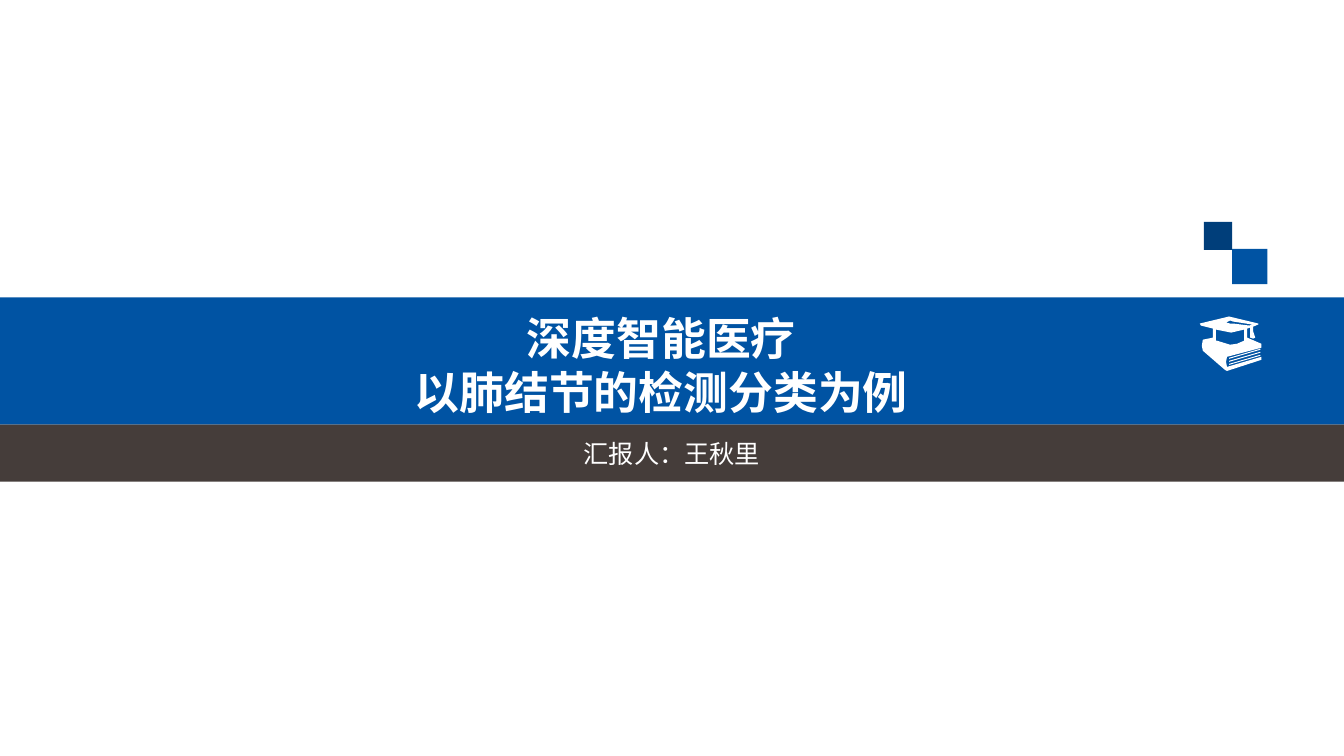
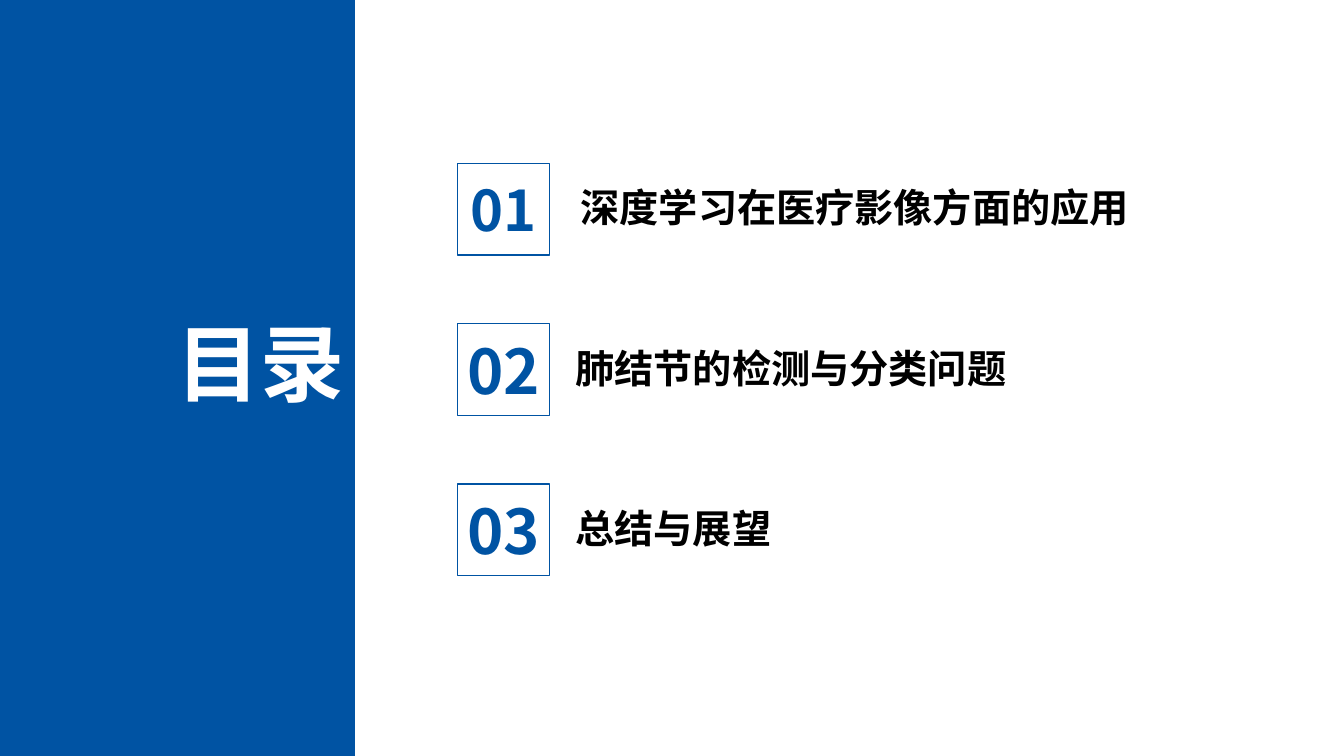
from lxml import etree
from pptx import Presentation
from pptx.dml.color import RGBColor
from pptx.enum.shapes import MSO_SHAPE
from pptx.enum.text import MSO_ANCHOR, MSO_AUTO_SIZE, PP_ALIGN
from pptx.oxml.ns import qn
from pptx.util import Inches, Pt

RECT = MSO_SHAPE.RECTANGLE
MIDDLE = MSO_ANCHOR.MIDDLE
NO_FIT = MSO_AUTO_SIZE.NONE
LEFT, CENTER, RIGHT = PP_ALIGN.LEFT, PP_ALIGN.CENTER, PP_ALIGN.RIGHT
TITLE_ONLY = 5

WIDTH, HEIGHT = 13.33, 7.5
BLUE, NAVY, BROWN = "0053A3", "003E7A", "453D3A"
WHITE, BLACK = "FFFFFF", "000000"
COVER_FONT, AGENDA_FONT = "DejaVu Sans", "Noto Sans CJK SC"

BAND_TOP, BAND_H, BYLINE_H = 2.95, 1.26, 0.57
PANEL_W = 3.52
BOX_LEFT, BOX_TOP, BOX_SIZE, BOX_STEP = 4.54, 1.62, 0.91, 1.59

AGENDA = [
    ("01", 40, "深度学习在医疗影像方面的应用", 5.66),
    ("02", 44, "肺结节的检测与分类问题", 5.61),
    ("03", 44, "总结与展望", 5.61),
]

CAP_AND_BOOK = [
    [(16, 13), (16, 24), (17, 24), (30, 28), (37, 27), (44, 24), (44, 13), (31, 16)],
    [(53, 15), (55, 21), (53, 22.5), (50, 21), (50, 11), (47, 12), (47, 21),
     (61, 27), (61, 31), (27, 40), (26, 45), (27, 50), (61, 40), (61, 43),
     (27, 54), (25, 53), (3, 34), (1.5, 29), (3, 23), (13, 21), (13, 12),
     (1, 9), (0, 7), (29, 0), (58, 7), (58, 8), (53, 10)],
    [(49, 9), (52, 8), (33, 5), (30, 4), (26, 6), (30, 7), (33, 7)],
] + [[(29, y), (29, y + 1), (60, y - 8), (60, y - 9)] for y in (47, 44, 41)]


def rgb(color):
    """Turn a hex string into a colour."""
    return RGBColor.from_string(color)


def place(sp, left, top, width, height):
    """Set a shape's position and size in inches."""
    sp.left, sp.top = Inches(left), Inches(top)
    sp.width, sp.height = Inches(width), Inches(height)


def write(sp, text, size, font, color, align=LEFT, bold=True, inset=0.1):
    """Write vertically centred text in one style."""
    tf = sp.text_frame
    tf.text = text
    tf.auto_size = NO_FIT
    tf.word_wrap = True
    tf.vertical_anchor = MIDDLE
    tf.margin_left = tf.margin_right = Inches(inset)
    tf.margin_top = tf.margin_bottom = Inches(0.05)
    for p in tf.paragraphs:
        p.alignment = align
        for r in p.runs:
            r.font.size, r.font.bold, r.font.name = Pt(size), bold, font
            r.font.color.rgb = rgb(color)
            ea = etree.SubElement(r.font._element, qn("a:ea"))
            ea.set("typeface", font)


def add_rect(slide, left, top, width, height, fill=None, line=None):
    """Add a rectangle with a plain fill or outline."""
    sp = slide.shapes.add_shape(RECT, 0, 0, 0, 0)
    place(sp, left, top, width, height)
    sp.shadow.inherit = False
    if fill:
        sp.fill.solid()
        sp.fill.fore_color.rgb = rgb(fill)
    else:
        sp.fill.background()
    if line:
        sp.line.color.rgb = rgb(line)
        sp.line.width = Pt(1)
    else:
        sp.line.fill.background()
    return sp


def add_title(slide, box, text, size, font, align):
    """Move the title placeholder in front and format it."""
    sp = slide.shapes.title
    slide.shapes._spTree.append(sp._element)
    place(sp, *box)
    write(sp, text, size, font, WHITE, align)


def add_icon(slide, left, top, contours, color):
    """Draw contours given in hundredths of an inch as one shape."""
    first, *others = contours
    fb = slide.shapes.build_freeform(*first[0], scale=Inches(0.01))
    fb.add_line_segments(first[1:], close=True)
    for points in others:
        fb.move_to(*points[0])
        fb.add_line_segments(points[1:], close=True)
    sp = fb.convert_to_shape(Inches(left), Inches(top))
    sp.shadow.inherit = False
    sp.fill.solid()
    sp.fill.fore_color.rgb = rgb(color)
    sp.line.fill.background()


def add_agenda_row(slide, row, number, size, text, left):
    """Add a numbered square and its topic."""
    top = BOX_TOP + row * BOX_STEP
    sp = add_rect(slide, BOX_LEFT, top, BOX_SIZE, BOX_SIZE, line=BLUE)
    write(sp, number, size, AGENDA_FONT, BLUE, CENTER, inset=0)
    tb = slide.shapes.add_textbox(0, 0, 0, 0)
    place(tb, left, top + 0.15, 5.86, 0.57)
    write(tb, text, 28, AGENDA_FONT, BLACK)


def build_cover(slide):
    """Build the cover with its two bands."""
    sp = add_rect(slide, 0, BAND_TOP + BAND_H, WIDTH, BYLINE_H, BROWN)
    write(sp, "汇报人：王秋里", 18, COVER_FONT, WHITE, CENTER, bold=False)
    add_rect(slide, 0, BAND_TOP, WIDTH, BAND_H, BLUE)
    add_rect(slide, 12.22, 2.47, 0.35, 0.35, BLUE)
    add_rect(slide, 11.94, 2.2, 0.28, 0.28, NAVY)
    add_icon(slide, 11.9, 3.14, CAP_AND_BOOK, WHITE)
    add_title(slide, (2.03, 3.03, 9.06, 1.18),
              "深度智能医疗\n以肺结节的检测分类为例", 32, COVER_FONT, CENTER)


def build_agenda(slide):
    """Build the agenda with its side panel."""
    add_rect(slide, 0, 0, PANEL_W, HEIGHT, BLUE)
    add_title(slide, (0.98, 3.04, PANEL_W - 0.98, 1.11),
              "目录", 60, AGENDA_FONT, RIGHT)
    for row, item in enumerate(AGENDA):
        add_agenda_row(slide, row, *item)


def main():
    """Build and save the presentation."""
    prs = Presentation()
    prs.slide_width, prs.slide_height = Inches(WIDTH), Inches(HEIGHT)
    for build in (build_cover, build_agenda):
        build(prs.slides.add_slide(prs.slide_layouts[TITLE_ONLY]))
    prs.save("out.pptx")


if __name__ == "__main__":
    main()
